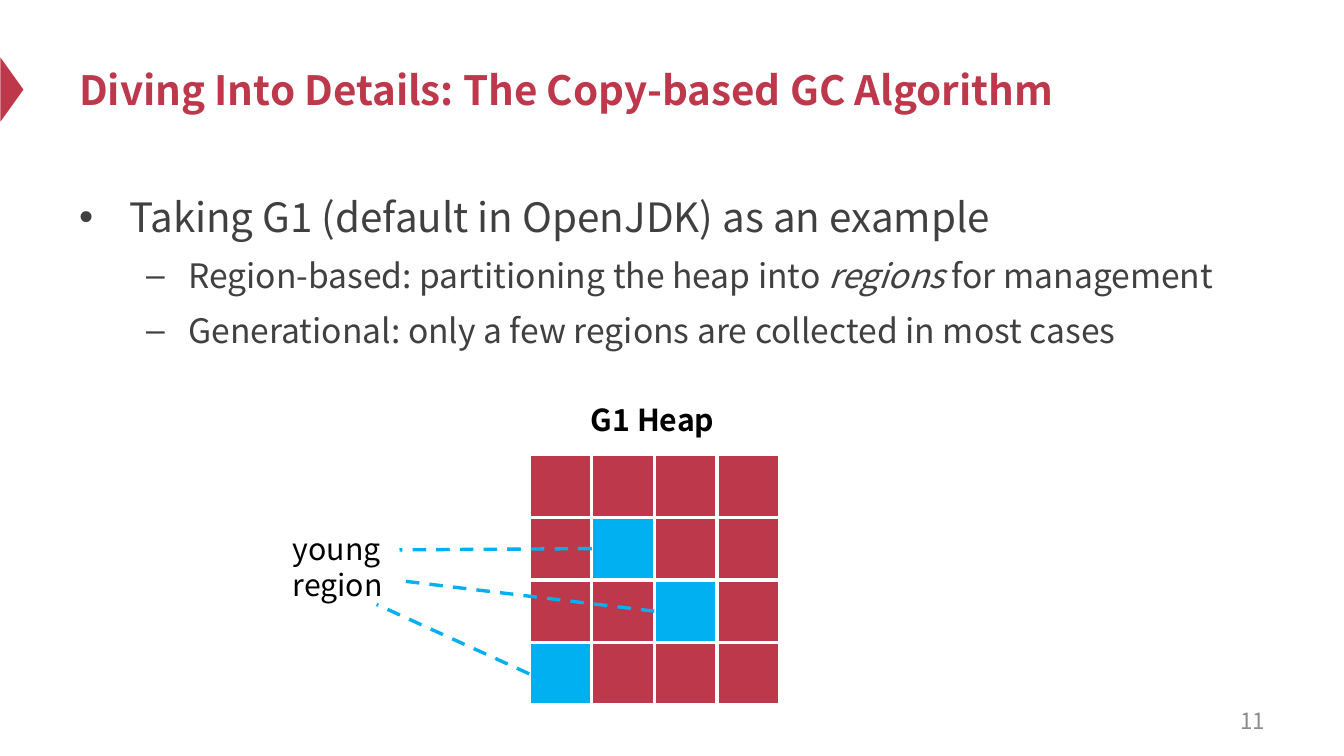
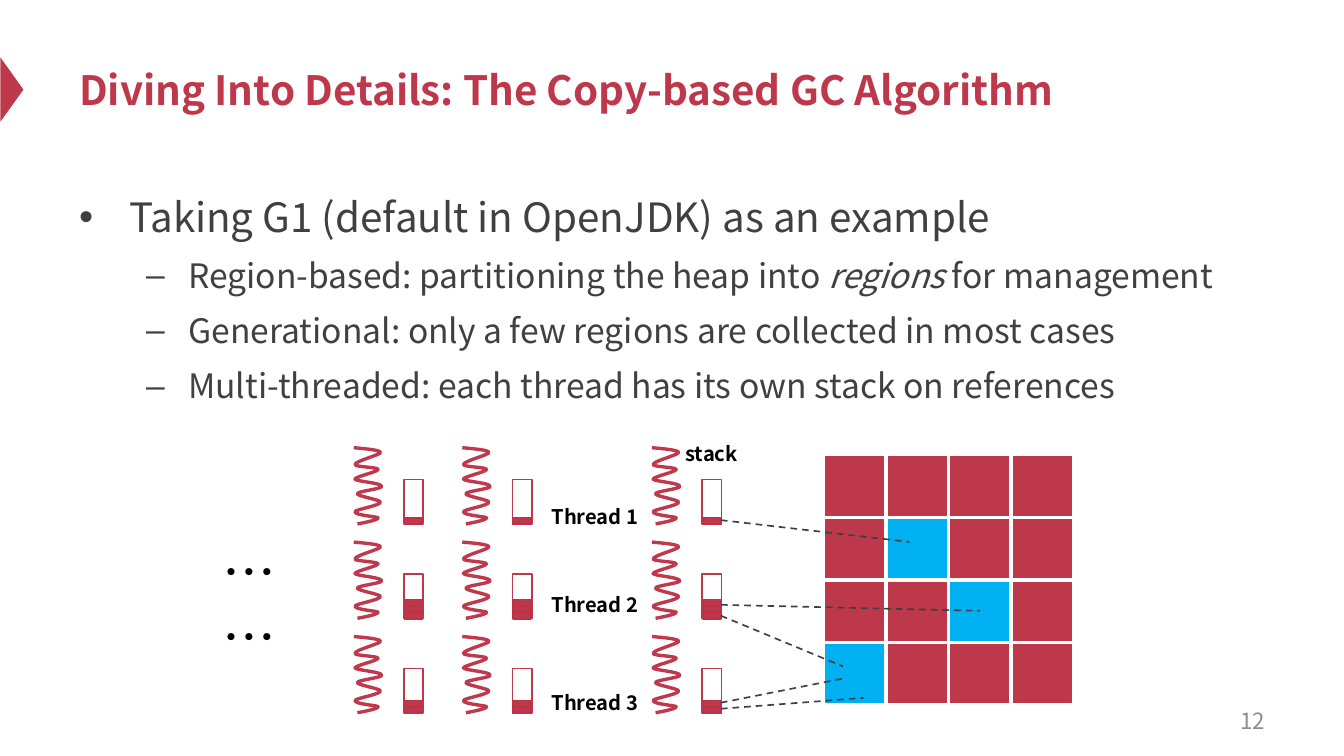
from pptx import Presentation
from pptx.dml.color import RGBColor
from pptx.enum.dml import MSO_LINE as Dash
from pptx.enum.shapes import MSO_CONNECTOR as Link, MSO_SHAPE as Shape
from pptx.enum.text import MSO_ANCHOR as Anchor, PP_ALIGN as Align
from pptx.oxml.ns import qn
from pptx.util import Pt
from lxml import etree

FACE = "Noto Sans CJK SC"
RED, BLUE, WHITE = "BE384B", "00B0F0", "FFFFFF"
BLACK, INK, GREY = "000000", "404040", "8C8C8C"
SPRING_RED, STACK_RED, ENTRY_RED = "BF384B", "BD384B", "BD3247"
TITLE = "Diving Into Details: The Copy-based GC Algorithm"
LEAD = "Taking G1 (default in OpenJDK) as an example"
REGION_POINT = ["Region-based: partitioning the heap into ", "*regions", " for management"]
GENERATION_POINT = ["Generational: only a few regions are collected in most cases"]
THREAD_POINT = ["Multi-threaded: each thread has its own stack on references"]
LEVELS = [
    {"size": 24, "left": 30, "hang": 30, "before": ("a:spcPts", "1330"), "mark": "•"},
    {"size": 20, "left": 65, "hang": 25, "before": ("a:spcPct", "20000"), "mark": "–"},
]
CELL = 37.25
YOUNG_CELLS = {(1, 1), (2, 2), (3, 0)}
ROW_STEP = 56.2
STACK_DEPTHS = [1, 3, 2]
SPRING_UNIT = 0.72
SPRING_CURVES = [
    (11, 1, 22, 2, 22, 4), (22, 6, 1, 11, 1, 14), (1, 16, 20, 16, 20, 18),
    (20, 20, 1, 24, 1, 26), (2, 28, 23, 29, 23, 32), (24, 34, 3, 36, 3, 38),
    (2, 40, 22, 43, 22, 45), (22, 48, 1, 51, 1, 53), (1, 56, 20, 57, 20, 58),
    (21, 60, 3, 63, 3, 63),
]


def colour(value):
    """Turn a hex string into a colour."""
    return RGBColor.from_string(value)


def paint(shape, fill=None, line=None, width=1):
    """Set the fill and outline of a shape and drop its shadow."""
    shape.shadow.inherit = False
    if fill:
        shape.fill.solid()
        shape.fill.fore_color.rgb = colour(fill)
    else:
        shape.fill.background()
    if line:
        shape.line.color.rgb = colour(line)
        shape.line.width = Pt(width)
    else:
        shape.line.fill.background()


def add_block(shapes, box, kind=Shape.RECTANGLE, **look):
    """Add a preset shape in a box given in points."""
    block = shapes.add_shape(kind, *map(Pt, box))
    paint(block, **look)
    return block


def add_dashes(shapes, start, end, line, width):
    """Draw a dashed line between two points."""
    link = shapes.add_connector(Link.STRAIGHT, *map(Pt, (*start, *end)))
    link.line.color.rgb = colour(line)
    for name, value in {"width": Pt(width), "dash_style": Dash.DASH}.items():
        setattr(link.line, name, value)
    etree.SubElement(link._element.spPr, qn("a:effectLst"))


def add_span(para, text, size, ink=BLACK, bold=False, italic=False):
    """Add a run of text to a paragraph."""
    span = para.add_run()
    span.text = text
    font = span.font
    for name, value in {"name": FACE, "size": Pt(size), "bold": bold, "italic": italic}.items():
        setattr(font, name, value)
    font.color.rgb = colour(ink)
    etree.SubElement(span._r.get_or_add_rPr(), qn("a:ea"), typeface=FACE)


def add_frame(page, box, anchor=Anchor.TOP):
    """Add a wrapping text box and return its text frame."""
    frame = page.shapes.add_textbox(*map(Pt, box)).text_frame
    for name, value in {"word_wrap": True, "vertical_anchor": anchor}.items():
        setattr(frame, name, value)
    return frame


def add_label(page, box, lines, anchor=Anchor.TOP, align=Align.LEFT, **look):
    """Add a text box with one paragraph for each line."""
    frame = add_frame(page, box, anchor)
    for index, line in enumerate(lines):
        para = frame.add_paragraph() if index else frame.paragraphs[0]
        para.alignment = align
        add_span(para, line, **look)


def add_point(para, pieces, level):
    """Fill a bulleted paragraph, setting starred pieces in italics."""
    para.line_spacing = 1.2
    props = para._p.get_or_add_pPr()
    props.set("marL", str(Pt(level["left"])))
    props.set("indent", str(-Pt(level["hang"])))
    tag, amount = level["before"]
    etree.SubElement(etree.SubElement(props, qn("a:spcBef")), qn(tag), val=amount)
    etree.SubElement(props, qn("a:buFont"), typeface="Arial")
    etree.SubElement(props, qn("a:buChar"), char=level["mark"])
    for piece in pieces:
        add_span(para, piece.lstrip("*"), level["size"], INK, italic=piece.startswith("*"))


def add_body(page, box, points):
    """Place the lead bullet and the points below it."""
    frame = add_frame(page, box)
    add_point(frame.paragraphs[0], [LEAD], LEVELS[0])
    for pieces in points:
        add_point(frame.add_paragraph(), pieces, LEVELS[1])


def add_page(deck, number, points):
    """Start a slide with its marker, title, body and number."""
    page = deck.slides.add_slide(deck.slide_layouts[6])
    marker = add_block(page.shapes, (-12, 46.5, 38.2, 13.7), Shape.ISOSCELES_TRIANGLE, fill=RED)
    marker.rotation = 90
    add_label(page, (40, 18, 720, 70.6), [TITLE], Anchor.MIDDLE, size=24, ink=RED, bold=True)
    add_body(page, (40, 105, 720, 296.6), points)
    add_label(page, (573.3, 417, 186.7, 23.8), [str(number)], Anchor.MIDDLE, Align.RIGHT,
              size=13.3, ink=GREY)
    return page


def add_heap(page, left, top):
    """Draw the grid of heap regions, with the young ones in blue."""
    group = page.shapes.add_group_shape()
    for row in range(4):
        for column in range(4):
            add_block(group.shapes, (left + column * CELL, top + row * CELL, CELL, CELL),
                      fill=BLUE if (row, column) in YOUNG_CELLS else RED, line=WHITE, width=2)


def add_spring(shapes, left, top):
    """Draw a spring, joining each three outline points into one curve."""
    builder = shapes.build_freeform(0, 0, scale=Pt(SPRING_UNIT))
    points = [curve[at:at + 2] for curve in SPRING_CURVES for at in (0, 2, 4)]
    builder.add_line_segments(points, close=False)
    spring = builder.convert_to_shape(Pt(left), Pt(top))
    paint(spring, line=SPRING_RED, width=2)
    segments = list(spring._element.iter(qn("a:lnTo")))
    for start in range(0, len(segments), 3):
        curve = etree.Element(qn("a:cubicBezTo"))
        segments[start].addprevious(curve)
        for segment in segments[start:start + 3]:
            curve.append(segment[0])
            segment.getparent().remove(segment)


def add_thread(shapes, left, top, depth):
    """Draw one thread spring and its stack holding some entries."""
    add_spring(shapes, left, top)
    stack_left, stack_top = left + 29.9, top + 19
    add_block(shapes, (stack_left, stack_top, 11.5, 26.6), line=STACK_RED)
    for entry in range(depth):
        add_block(shapes, (stack_left + 0.3, stack_top + 23 - entry * 3.9, 10.8, 3.6),
                  fill=RED, line=ENTRY_RED)


def add_thread_column(shapes, left, top):
    """Draw a column of threads, one for each stack depth."""
    for row, depth in enumerate(STACK_DEPTHS):
        add_thread(shapes, left, top + row * ROW_STEP, depth)


def build_heap_page(deck):
    """Build the slide that points out the young regions."""
    page = add_page(deck, 11, [REGION_POINT, GENERATION_POINT])
    left, top = 315, 270.7
    add_heap(page, left, top)
    add_label(page, (344.5, 235.4, 93, 28.8), ["G1 Heap"], size=18, bold=True)
    add_label(page, (167.2, 311.8, 70.6, 51), ["young", "region"], size=18)
    starts = [(237.8, 327.3), (237.8, 345.6), (224.2, 359.8)]
    for start, (row, column) in zip(starts, sorted(YOUNG_CELLS)):
        end = (left + column * CELL, top + (row + 0.5) * CELL)
        add_dashes(page.shapes, end, start, BLUE, 2)


def build_thread_page(deck):
    """Build the slide that links thread stacks to heap regions."""
    page = add_page(deck, 12, [REGION_POINT, GENERATION_POINT, THREAD_POINT])
    top = 266.5
    add_thread_column(page.shapes, 388.1, top)
    add_heap(page, 490.2, 270.7)
    for number, label_top in enumerate((296.6, 349.2, 407.2), 1):
        add_label(page, (321.2, label_top, 72, 21.6), [f"Thread {number}"], size=12, bold=True)
    references = [
        (309.6, 541.4, 322.6), (360, 583.2, 363.6), (366.5, 501.8, 396.7),
        (418.3, 501.8, 403.9), (421.9, 514.1, 415.4),
    ]
    links = page.shapes.add_group_shape()
    for start_y, end_x, end_y in references:
        add_dashes(links.shapes, (429.1, start_y), (end_x, end_y), INK, 1)
    add_label(page, (401, 259.2, 50, 21.6), ["stack"], size=12, bold=True)
    for left in (275.2, 210.6):
        add_thread_column(page.shapes.add_group_shape().shapes, left, top)
    add_label(page, (125.6, 317.2, 67, 46), ["……"], size=32)


def main():
    """Build and save the deck."""
    deck = Presentation()
    deck.slide_width, deck.slide_height = Pt(800), Pt(450)
    build_heap_page(deck)
    build_thread_page(deck)
    deck.save("out.pptx")


if __name__ == "__main__":
    main()
